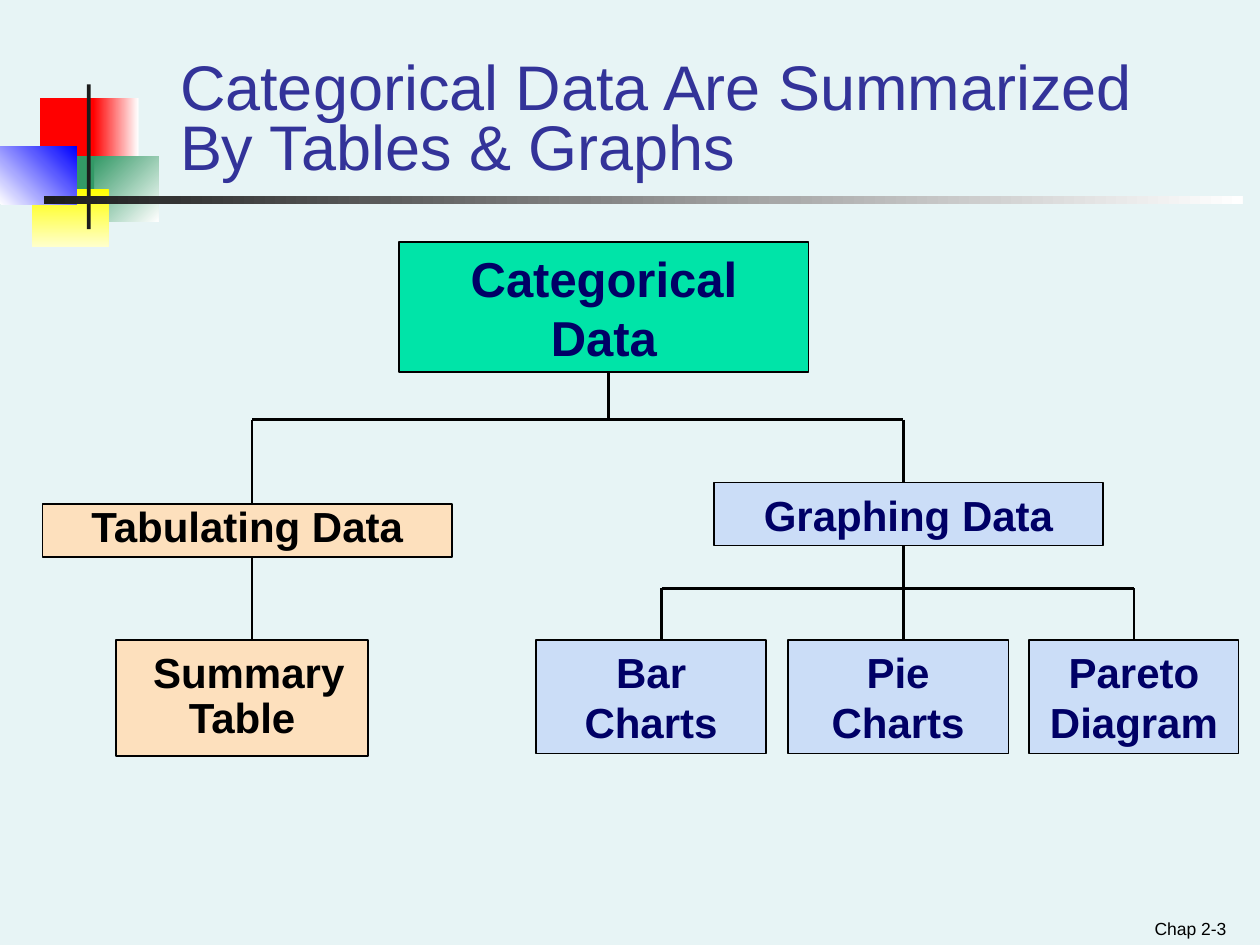
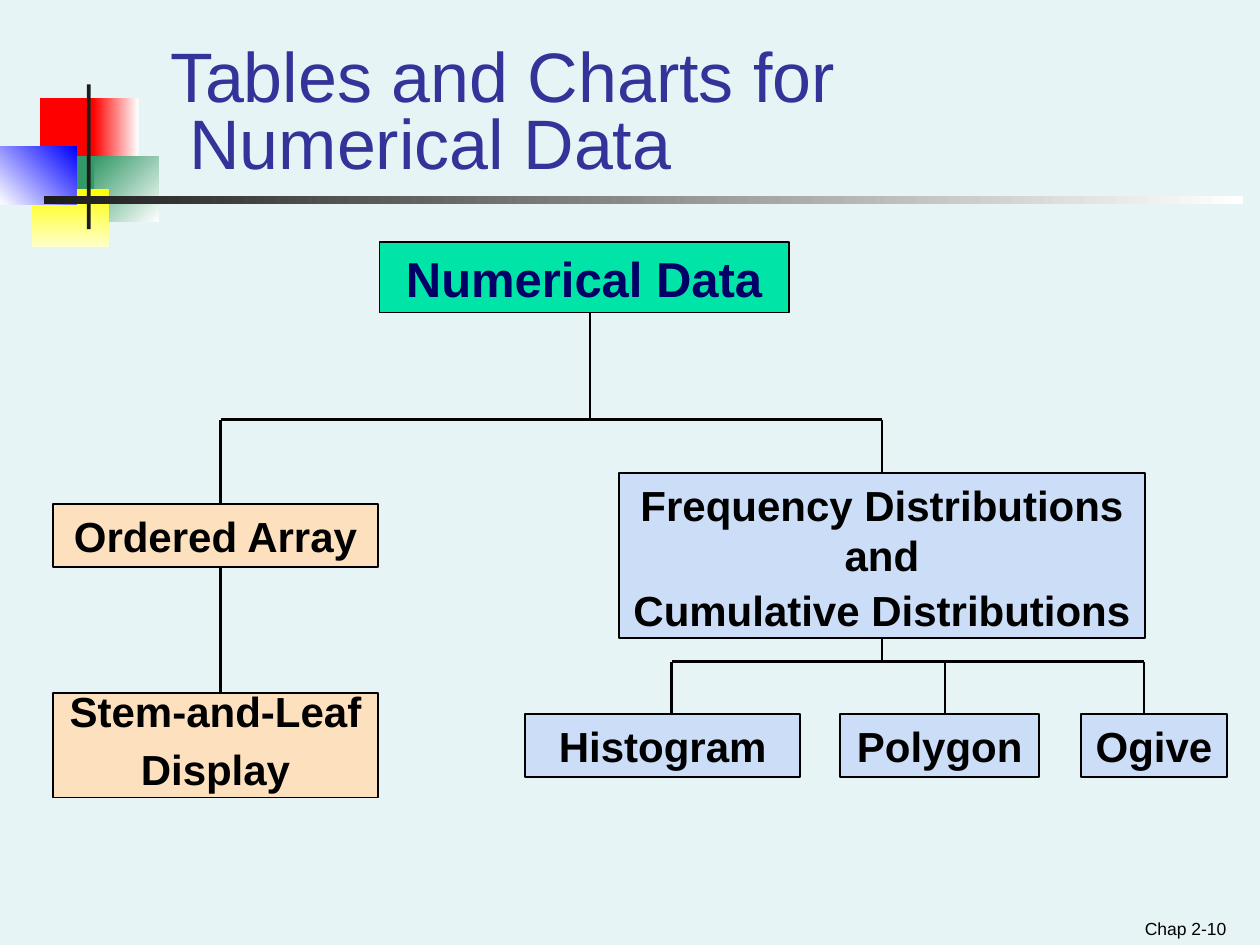
from dataclasses import dataclass

from lxml.etree import SubElement
from pptx import Presentation
from pptx.dml.color import RGBColor
from pptx.enum.shapes import MSO_CONNECTOR as Connector, MSO_SHAPE as Preset
from pptx.enum.text import MSO_ANCHOR as Anchor, MSO_AUTO_SIZE as AutoSize, PP_ALIGN as Align
from pptx.oxml.ns import qn
from pptx.util import Cm, Pt


# Colours and type sizes
@dataclass(frozen=True)
class Theme:
    font: str = "Arial"
    background: str = "E7F4F5"
    title: str = "333399"
    black: str = "000000"
    navy: str = "000066"
    green: str = "00E4A8"
    peach: str = "FDE0BD"
    sky: str = "CBDDF7"
    root_size: int = 28
    node_size: int = 24
    footer_size: int = 10


THEME = Theme()
BOTTOM, TOP = 2, 0

# Ornament blocks: left, top, width, height, colours, gradient angle
ORNAMENT = [
    (0.81, 1.98, 1.22, 1.32, ["FF0000"], 0),
    (1.88, 1.98, 0.91, 1.32, ["FF0000", "FFFFFF"], 0),
    (1.9, 3.15, 1.3, 1.32, ["339966", "FFFFFF"], 315),
    (1.09, 3.15, 0.81, 1.32, ["339966"], 0),
    (0.64, 3.81, 1.55, 1.17, ["FFFF00", "FFFFCC"], 270),
    (0, 2.95, 1.55, 1.17, ["FFFFFF", "0000FF"], 45),
    (1.75, 1.7, 0.08, 2.92, ["1C1C1C"], 0),
    (0.89, 3.96, 24.16, 0.15, ["1C1C1C", "FFFFFF"], 0),
]


def colour(code):
    return RGBColor.from_string(code)


def lengths(place):
    return [Cm(value) for value in place]


def add_span(para, text, size, code, bold=False):
    span = para.add_run()
    span.text = text
    span.font.name = THEME.font
    span.font.size = Pt(size)
    span.font.bold = bold
    span.font.color.rgb = colour(code)


def set_indent(para, first, margin=0):
    properties = para._p.get_or_add_pPr()
    properties.set("marL", str(Cm(margin)))
    properties.set("indent", str(Cm(first)))


def add_label(page, place, text, size, code, align=Align.LEFT, spacing=None, hang=0):
    """Bottom-anchored text; hang indents every line after the first."""
    box = page.shapes.add_textbox(*lengths(place))
    frame = box.text_frame
    frame.word_wrap = True
    frame.vertical_anchor = Anchor.BOTTOM
    para = frame.paragraphs[0]
    para.alignment = align
    para.line_spacing = spacing
    if hang:
        set_indent(para, -hang, hang)
    for number, line in enumerate(text.split("\n")):
        if number:
            para.add_line_break()
        add_span(para, line, size, code)


def add_block(page, place, colours, angle):
    block = page.shapes.add_shape(Preset.RECTANGLE, *lengths(place))
    block.shadow.inherit = False
    block.line.fill.background()
    if len(colours) == 1:
        block.fill.solid()
        block.fill.fore_color.rgb = colour(colours[0])
        return
    block.fill.gradient()
    block.fill.gradient_angle = angle
    for stop, code, position in zip(block.fill.gradient_stops, colours, (0, 1)):
        stop.color.rgb = colour(code)
        stop.position = position


def add_page(deck, title, title_place, title_size, footer, hang=0):
    """Page with the shared background, ornament, title and footer."""
    page = deck.slides.add_slide(deck.slide_layouts[6])
    page.background.fill.solid()
    page.background.fill.fore_color.rgb = colour(THEME.background)
    for *place, colours, angle in ORNAMENT:
        add_block(page, place, colours, angle)
    add_label(page, (19.05, 18.16, 5.92, 0.89), footer, THEME.footer_size,
              THEME.black, Align.RIGHT)
    add_label(page, title_place, title, title_size, THEME.title, spacing=0.8, hang=hang)
    return page


def add_node(page, place, fill, paragraphs, code=THEME.black, size=THEME.node_size,
             grow=True, inset_top=0.13, indent=0):
    """Bordered box; paragraphs are (text, line spacing) pairs."""
    box = page.shapes.add_shape(Preset.RECTANGLE, *lengths(place))
    box.shadow.inherit = False
    box.fill.solid()
    box.fill.fore_color.rgb = colour(fill)
    box.line.color.rgb = colour(THEME.black)
    box.line.width = Pt(1)
    frame = box.text_frame
    frame.word_wrap = True
    frame.auto_size = AutoSize.SHAPE_TO_FIT_TEXT if grow else AutoSize.NONE
    frame.vertical_anchor = Anchor.TOP
    frame.margin_left = frame.margin_right = Cm(0.25)
    frame.margin_top, frame.margin_bottom = Cm(inset_top), Cm(0.13)
    for number, (text, spacing) in enumerate(paragraphs):
        para = frame.add_paragraph() if number else frame.paragraphs[0]
        para.alignment = Align.CENTER
        para.line_spacing = spacing
        if number:
            para.space_before = Pt(15)
        if indent:
            set_indent(para, indent)
        add_span(para, text, size, code, bold=True)
    return box


def add_root(page, place, text):
    return add_node(page, place, THEME.green, [(text, 1.0)], THEME.navy, THEME.root_size)


def add_line(page, x1, y1, x2, y2):
    line = page.shapes.add_connector(Connector.STRAIGHT, x1, y1, x2, y2)
    line.line.color.rgb = colour(THEME.black)
    line.line.width = Pt(1.5)
    SubElement(line._element.spPr, qn("a:effectLst"))
    return line


def is_centred(box, x):
    return abs(box.left + box.width // 2 - x) < Cm(0.02)


def add_drop(page, x, upper=None, lower=None, bus=None):
    """Vertical line between two boxes, or between a box and the bus height."""
    x = Cm(x)
    start = upper.top + upper.height if upper else Cm(bus)
    end = lower.top if lower else Cm(bus)
    line = add_line(page, x, start, x, end)
    if upper and is_centred(upper, x):
        line.begin_connect(upper, BOTTOM)
    if lower and is_centred(lower, x):
        line.end_connect(lower, TOP)


def add_fork(page, parent, trunk_x, bus, children):
    """Trunk from the parent, a horizontal bus, and a drop to each (x, child)."""
    add_drop(page, trunk_x, upper=parent, bus=bus)
    first_x, last_x = children[0][0], children[-1][0]
    add_line(page, Cm(first_x), Cm(bus), Cm(last_x), Cm(bus))
    for x, child in children:
        add_drop(page, x, lower=child, bus=bus)


def build_categorical(deck):
    page = add_page(deck, "Categorical Data Are Summarized By Tables & Graphs",
                    (3.38, 1.07, 21.16, 2.74), 36, "Chap 2-3")
    root = add_root(page, (8.05, 4.88, 8.25, 2.62), "Categorical Data")
    tabulating = add_node(page, (0.86, 10.16, 8.25, 1.07), THEME.peach,
                          [("Tabulating Data", 0.8)])
    summary = add_node(page, (2.34, 12.9, 5.08, 2.34), THEME.peach,
                       [("Summary Table", 0.9)], grow=False, inset_top=0.25, indent=0.27)
    graphing = add_node(page, (14.4, 9.73, 7.83, 1.27), THEME.sky,
                        [("Graphing Data", 1.0)], THEME.navy)
    graphs = [
        (drop_x, add_node(page, (left, 12.9, width, 2.29), THEME.sky, [(text, 1.0)], THEME.navy))
        for drop_x, left, width, text in [
            (13.34, 10.8, 4.65, "Bar Charts"),
            (18.21, 15.88, 4.45, "Pie Charts"),
            (22.86, 20.75, 4.22, "Pareto Diagram"),
        ]
    ]
    add_fork(page, root, 12.27, 8.46, [(5.08, tabulating), (18.21, graphing)])
    add_drop(page, 5.08, tabulating, summary)
    add_fork(page, graphing, 18.21, 11.86, graphs)


def build_numerical(deck):
    page = add_page(deck, "Tables and Charts for\nNumerical Data",
                    (3.18, 0.64, 18.85, 3.17), 40, "Chap 2-10", hang=0.39)
    root = add_root(page, (7.65, 4.88, 8.25, 1.42), "Numerical Data")
    ordered = add_node(page, (1.07, 10.16, 6.55, 1.27), THEME.peach, [("Ordered Array", 1.0)])
    stem = add_node(page, (1.07, 13.97, 6.55, 2.11), THEME.peach,
                    [("Stem-and-Leaf", 0.7), ("Display", 0.6)])
    distributions = add_node(page, (12.48, 9.53, 10.6, 3.33), THEME.sky,
                             [("Frequency Distributions and", 1.0),
                              ("Cumulative Distributions", 0.5)])
    graphs = [
        (drop_x, add_node(page, (left, 14.4, width, 1.27), THEME.sky, [(text, 1.0)]))
        for drop_x, left, width, text in [
            (13.54, 10.59, 5.54, "Histogram"),
            (19.05, 16.94, 4.01, "Polygon"),
            (23.06, 21.79, 2.95, "Ogive"),
        ]
    ]
    add_fork(page, root, 11.89, 8.46, [(4.45, ordered), (17.78, distributions)])
    add_drop(page, 4.45, ordered, stem)
    add_fork(page, distributions, 17.78, 13.34, graphs)


def main():
    deck = Presentation()
    deck.slide_width, deck.slide_height = Cm(25.4), Cm(19.05)
    build_categorical(deck)
    build_numerical(deck)
    deck.save("out.pptx")


if __name__ == "__main__":
    main()
